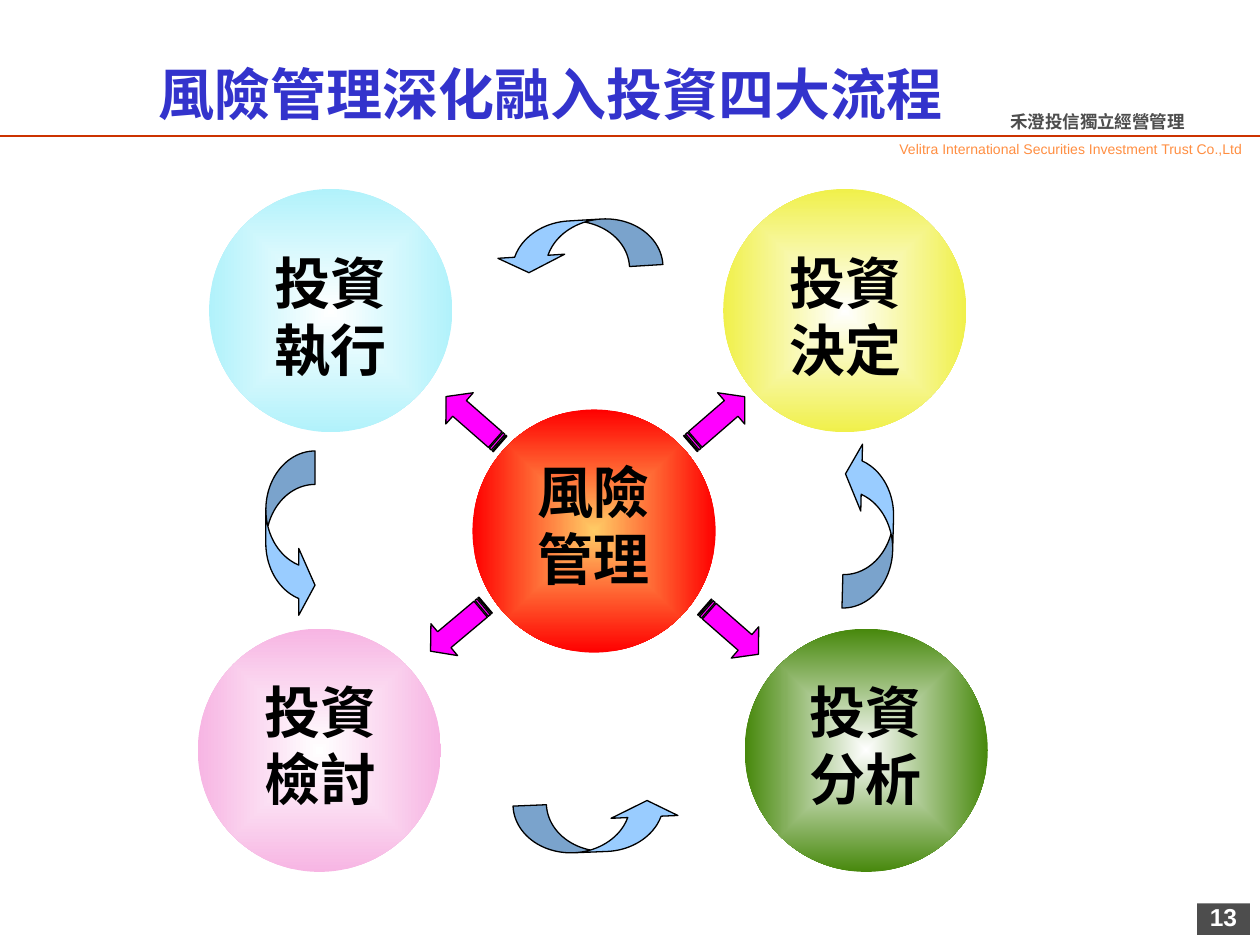
"""Build the slide on risk management within the four investment processes."""
from lxml.etree import SubElement
from pptx import Presentation
from pptx.dml.color import RGBColor
from pptx.enum.shapes import MSO_CONNECTOR, MSO_SHAPE
from pptx.enum.text import MSO_ANCHOR, PP_ALIGN
from pptx.oxml import parse_xml
from pptx.oxml.ns import nsdecls, qn
from pptx.util import Inches, Pt

BLACK = RGBColor(0x00, 0x00, 0x00)
WHITE = RGBColor(0xFF, 0xFF, 0xFF)
GREY = RGBColor(0x4D, 0x4D, 0x4D)
RULE_RED = RGBColor(0xCC, 0x33, 0x00)
ORANGE = RGBColor(0xFF, 0x8E, 0x41)
TITLE_BLUE = RGBColor(0x33, 0x33, 0xCC)
SKY = RGBColor(0x99, 0xCC, 0xFF)
MAGENTA = RGBColor(0xFF, 0x00, 0xFF)
CYAN = RGBColor(0xB1, 0xF2, 0xFB)
PINK = RGBColor(0xF7, 0xB5, 0xE3)
YELLOW = RGBColor(0xF0, 0xF0, 0x4A)
GREEN = RGBColor(0x47, 0x88, 0x0C)
RED = RGBColor(0xFF, 0x00, 0x00)
GOLD = RGBColor(0xFF, 0xCC, 0x66)

CIRCLE_SIZE = 1.93
CJK_FONT = "Noto Sans CJK SC"

prs = Presentation()
prs.slide_width, prs.slide_height = Inches(10), Inches(7.5)
slide = prs.slides.add_slide(prs.slide_layouts[6])
shapes = slide.shapes


def add_label(text, box, size, font, color, bold=True, wrap=True):
    label = shapes.add_textbox(*map(Inches, box))
    label.text_frame.word_wrap = wrap
    paragraph = label.text_frame.paragraphs[0]
    paragraph.text = text
    paragraph.font.size = Pt(size)
    paragraph.font.name = font
    paragraph.font.bold = bold
    paragraph.font.color.rgb = color
    return paragraph


def add_arrow(preset, box, rotation, color, adjustments):
    arrow = shapes.add_shape(preset, *map(Inches, box))
    arrow.shadow.inherit = False
    arrow.rotation = rotation
    arrow.fill.solid()
    arrow.fill.fore_color.rgb = color
    arrow.line.color.rgb = BLACK
    arrow.line.width = Pt(0.75)
    for index, value in enumerate(adjustments):
        arrow.adjustments[index] = value


header_rule = shapes.add_connector(
    MSO_CONNECTOR.STRAIGHT, Inches(0), Inches(1.08), Inches(10), Inches(1.08))
header_rule.line.color.rgb = RULE_RED
header_rule.line.width = Pt(0.75)
SubElement(header_rule._element.spPr, qn("a:effectLst"))

page_badge = shapes.add_shape(
    MSO_SHAPE.RECTANGLE, Inches(9.5), Inches(7.17), Inches(0.42), Inches(0.25))
page_badge.shadow.inherit = False
page_badge.fill.solid()
page_badge.fill.fore_color.rgb = GREY
page_badge.line.fill.background()
page_badge.text_frame.vertical_anchor = MSO_ANCHOR.MIDDLE
page_number = page_badge.text_frame.paragraphs[0]
page_number.text = "13"
page_number.alignment = PP_ALIGN.CENTER
page_number.line_spacing = 0.8
page_number.font.size = Pt(14)
page_number.font.name = "Arial"
page_number.font.bold = True
page_number.font.color.rgb = WHITE

add_label("禾澄投信獨立經營管理", (7.92, 0.83, 2.08, 0.27), 10, "Times New Roman", GREY)
company = add_label("Velitra International Securities Investment Trust Co.,Ltd",
                    (7.04, 1.08, 2.96, 0.22), 8, "Arial", ORANGE, bold=False, wrap=False)
company.line_spacing = 0.9

stages = [
    ("投資執行", 1.66, 1.5, WHITE, CYAN, 2.08, 1.92),
    ("投資檢討", 1.57, 4.99, WHITE, PINK, 2, 5.33),
    ("投資決定", 5.74, 1.5, WHITE, YELLOW, 6.17, 1.92),
    ("投資分析", 5.91, 4.99, WHITE, GREEN, 6.33, 5.33),
    ("風險管理", 3.75, 3.25, GOLD, RED, 4.17, 3.58),
]
for name, left, top, center, rim, label_left, label_top in stages:
    circle = shapes.add_shape(MSO_SHAPE.OVAL, Inches(left), Inches(top),
                              Inches(CIRCLE_SIZE), Inches(CIRCLE_SIZE))
    circle.shadow.inherit = False
    circle.line.fill.background()
    circle._element.spPr.find(qn("a:prstGeom")).addnext(parse_xml(
        f'<a:gradFill {nsdecls("a")} rotWithShape="1"><a:gsLst>'
        f'<a:gs pos="0"><a:srgbClr val="{center}"/></a:gs>'
        f'<a:gs pos="100000"><a:srgbClr val="{rim}"/></a:gs></a:gsLst>'
        '<a:path path="rect"><a:fillToRect l="50000" t="50000" r="50000" b="50000"/>'
        '</a:path></a:gradFill>'))
    add_label(name, (label_left, label_top, 1.33, 1.17), 32, CJK_FONT, BLACK)

for left, top, rotation in [(2.11, 3.58, 0), (4.55, 5.9, 267.6),
                            (4.39, 1.28, 86.5), (6.7, 3.5, 181.5)]:
    add_arrow(MSO_SHAPE.CURVED_RIGHT_ARROW, (left, top, 0.39, 1.33),
              rotation, SKY, (0.68, 1.36, 0.33))

for left, top, rotation in [(5.41, 3.17, 319.1), (5.52, 4.84, 41.2),
                            (3.35, 4.82, 140), (3.47, 3.17, 221.2)]:
    add_arrow(MSO_SHAPE.STRIPED_RIGHT_ARROW, (left, top, 0.57, 0.33),
              rotation, MAGENTA, (0.5, 0.43))

add_label("風險管理深化融入投資四大流程", (1.16, 0.42, 7.09, 0.64), 32, "DejaVu Sans", TITLE_BLUE)

prs.save("out.pptx")
